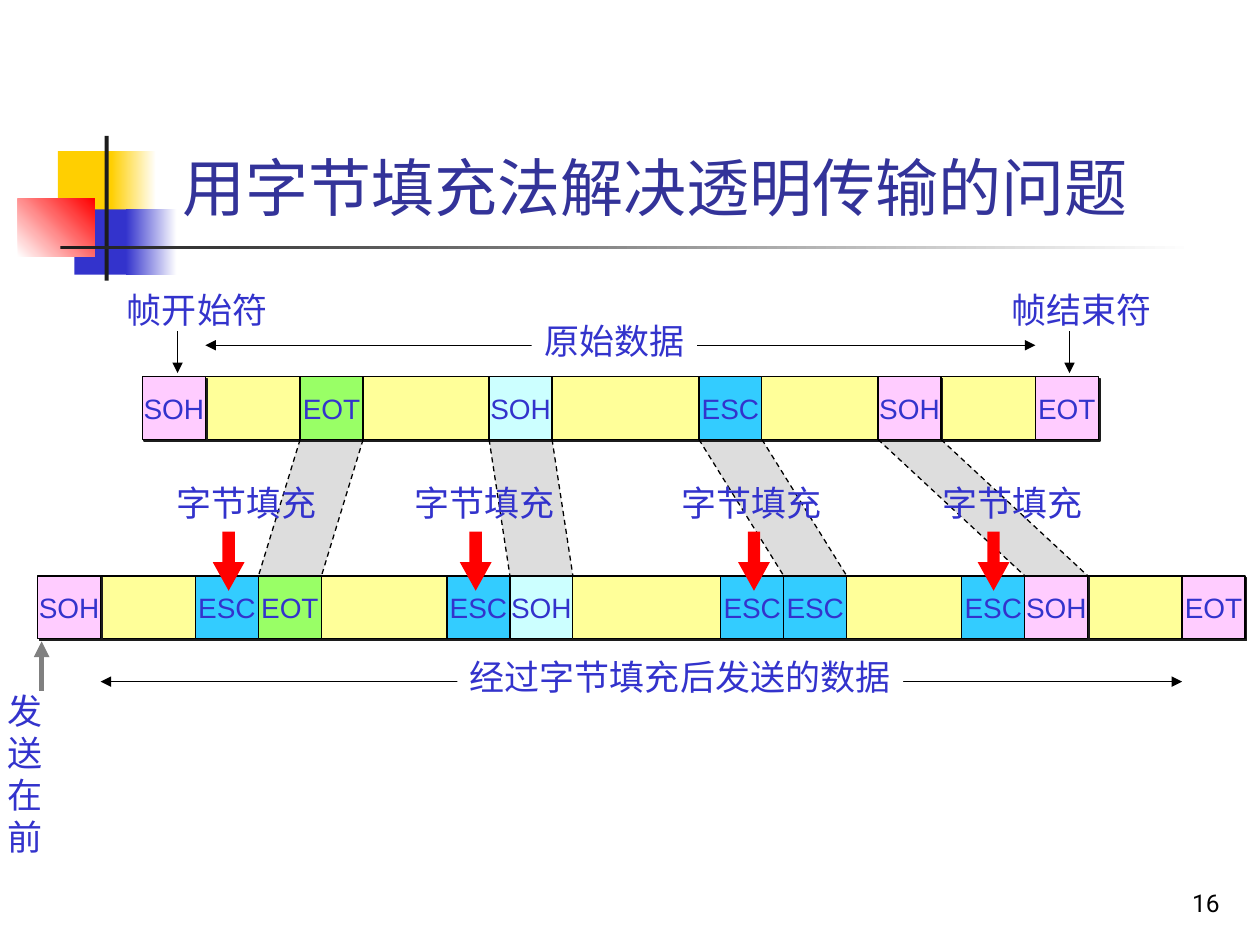
from dataclasses import dataclass

from lxml.etree import SubElement
from pptx import Presentation
from pptx.dml.color import RGBColor
from pptx.enum.dml import MSO_LINE
from pptx.enum.shapes import MSO_CONNECTOR, MSO_SHAPE
from pptx.enum.text import MSO_ANCHOR, MSO_AUTO_SIZE, PP_ALIGN
from pptx.oxml.ns import qn
from pptx.util import Cm, Pt


@dataclass(frozen=True)
class Theme:
    black: str = "000000"
    dark: str = "1C1C1C"
    grey: str = "808080"
    band: str = "DDDDDD"
    white: str = "FFFFFF"
    red: str = "FF0000"
    gold: str = "FFCF01"
    blue: str = "3333CC"
    title: str = "333399"
    data: str = "FFFF99"
    pink: str = "FFCCFF"
    green: str = "99FF66"
    aqua: str = "CCFFFF"
    sky: str = "33CCFF"
    font: str = "Arial"
    number_font: str = "Roboto"
    title_size: int = 36
    label_size: int = 20
    cell_size: int = 16
    number_size: int = 14


T = Theme()
CELL = 1.27
TOP_Y, SENT_Y = 7.59, 11.61
LABEL_W, LABEL_H = 3.33, 1.12

prs = Presentation()
prs.slide_width, prs.slide_height = Cm(25.4), Cm(19.05)
s = prs.slides.add_slide(prs.slide_layouts[6])


def add_box(x, y, w, h, fill, outline=False, shadow=False, kind=MSO_SHAPE.RECTANGLE):
    """Add a preset shape; a pair of colours as fill makes a gradient."""
    sp = s.shapes.add_shape(kind, Cm(x), Cm(y), Cm(w), Cm(h))
    sp.shadow.inherit = False
    if isinstance(fill, tuple):
        sp.fill.gradient()
        sp.fill.gradient_angle = 0
        for stop, colour in zip(sp.fill.gradient_stops, fill):
            stop.color.rgb = RGBColor.from_string(colour)
    else:
        sp.fill.solid()
        sp.fill.fore_color.rgb = RGBColor.from_string(fill)
    if outline:
        sp.line.color.rgb = RGBColor.from_string(T.black)
        sp.line.width = Pt(0.75)
    else:
        sp.line.fill.background()
    if shadow:
        effects = sp._element.spPr.find(qn("a:effectLst"))
        shade = SubElement(effects, qn("a:outerShdw"), dist=str(Pt(1.4)), dir="2700000",
                           algn="ctr", rotWithShape="0")
        SubElement(shade, qn("a:srgbClr"), val=T.dark)
    return sp


def write(sp, lines, size, align=PP_ALIGN.LEFT, anchor=MSO_ANCHOR.TOP,
          colour=T.blue, font=T.font, wrap=False, grow=False):
    tf = sp.text_frame
    tf.word_wrap = wrap
    tf.vertical_anchor = anchor
    tf.auto_size = MSO_AUTO_SIZE.SHAPE_TO_FIT_TEXT if grow else MSO_AUTO_SIZE.NONE
    for i, line in enumerate(lines):
        p = tf.add_paragraph() if i else tf.paragraphs[0]
        p.alignment = align
        r = p.add_run()
        r.text = line
        r.font.size = Pt(size)
        r.font.name = font
        r.font.color.rgb = RGBColor.from_string(colour)


# Title ornament
for x, y, w, h, fill in [
    (1.17, 3.05, 1.22, 1.32, T.gold),
    (2.24, 3.05, 0.91, 1.32, (T.gold, T.white)),
    (1.5, 4.22, 1.17, 1.32, T.blue),
    (2.54, 4.22, 1.02, 1.32, (T.blue, T.white)),
    (0.36, 4.01, 1.55, 1.17, (T.white, T.red)),
    (2.11, 2.74, 0.08, 2.92, T.dark),
    (1.22, 4.95, 22.86, 0.08, (T.dark, T.white)),
]:
    sp = add_box(x, y, w, h, fill)
    if fill == (T.white, T.red):
        sp.fill.gradient_angle = 45

# Title and slide number
sp = s.shapes.add_textbox(Cm(3.2), Cm(0.58), Cm(20.29), Cm(4.06))
write(sp, ["用字节填充法解决透明传输的问题 "], T.title_size, PP_ALIGN.CENTER,
      MSO_ANCHOR.BOTTOM, T.title, wrap=True)
sp = s.shapes.add_textbox(Cm(19.56), Cm(17.35), Cm(5.28), Cm(1.27))
write(sp, ["16"], T.number_size, PP_ALIGN.RIGHT, MSO_ANCHOR.BOTTOM, T.black,
      T.number_font, wrap=True)

# Escaped bytes: name, x in the original row, x in the sent row, fill, shadow, label x, arrow x
escaped = [
    ("EOT", 6.05, 5.21, T.green, False, 3.3, 4.29),
    ("SOH", 9.86, 10.28, T.aqua, False, 8.1, 9.27),
    ("ESC", 14.09, 15.8, T.sky, False, 13.49, 14.88),
    ("SOH", 17.7, 20.66, T.pink, True, 18.75, 19.71),
]
band_top = TOP_Y + CELL

# Grey bands between the rows
for _, x, sent_x, *_ in escaped:
    builder = s.shapes.build_freeform(Cm(x), Cm(band_top))
    builder.add_line_segments([(Cm(x + CELL), Cm(band_top)),
                               (Cm(sent_x + CELL), Cm(SENT_Y)),
                               (Cm(sent_x), Cm(SENT_Y))])
    sp = builder.convert_to_shape()
    sp.shadow.inherit = False
    sp.fill.solid()
    sp.fill.fore_color.rgb = RGBColor.from_string(T.band)
    sp.line.fill.background()

# Data fields, then the byte cells on top of them
cells = []
for start, width, y in [(2.87, 16.73, TOP_Y), (0.76, 21.8, SENT_Y)]:
    add_box(start + CELL, y, width, CELL, T.data, True, True)
    cells += [("SOH", start, y, T.pink, True),
              ("EOT", start + CELL + width, y, T.pink, True)]
for name, x, sent_x, fill, shadow, *_ in escaped:
    cells += [(name, x, TOP_Y, fill, shadow),
              ("ESC", sent_x - CELL, SENT_Y, T.sky, False),
              (name, sent_x, SENT_Y, fill, shadow)]
for name, x, y, fill, shadow in cells:
    sp = add_box(x, y, CELL, CELL, fill, True, shadow)
    write(sp, [name], T.cell_size, PP_ALIGN.CENTER, MSO_ANCHOR.MIDDLE)

# Lines: ends, colour, width, dashed, arrowheads
both, end = ("headEnd", "tailEnd"), ("tailEnd",)
lines = [
    (4.14, 6.96, 20.87, 6.96, T.black, 0.75, False, both),
    (2.03, 13.74, 23.83, 13.74, T.black, 0.75, False, both),
    (3.58, 6.68, 3.58, 7.52, T.black, 0.75, False, end),
    (21.56, 6.68, 21.56, 7.52, T.black, 0.75, False, end),
    (0.84, 13.92, 0.84, 12.93, T.grey, 3, False, end),
]
for _, x, sent_x, *_ in escaped:
    for side in (0, CELL):
        lines.append((x + side, band_top, sent_x + side, SENT_Y, T.black, 0.75, True, ()))
for x1, y1, x2, y2, colour, width, dashed, heads in lines:
    c = s.shapes.add_connector(MSO_CONNECTOR.STRAIGHT, Cm(x1), Cm(y1), Cm(x2), Cm(y2))
    c.line.color.rgb = RGBColor.from_string(colour)
    c.line.width = Pt(width)
    if dashed:
        c.line.dash_style = MSO_LINE.DASH
    for head in heads:
        SubElement(c.line._get_or_add_ln(), qn(f"a:{head}"), type="triangle")
    SubElement(c._element.spPr, qn("a:effectLst"))

# Labels; those over a line have a white ground
for text, x, y, w in [("原始数据", 10.72, 6.32, LABEL_W),
                      ("经过字节填充后发送的数据", 9.22, 13.08, 8.99)]:
    write(add_box(x, y, w, LABEL_H, T.white), [text], T.label_size, grow=True)
labels = [(["帧开始符"], 2.31, 5.69, LABEL_W, LABEL_H),
          (["帧结束符"], 20.14, 5.69, LABEL_W, LABEL_H),
          (["发送", "在前"], -0.1, 13.77, 1.9, 1.96)]
labels += [(["字节填充"], label_x, 9.58, LABEL_W, LABEL_H) for *_, label_x, _ in escaped]
for text, x, y, w, h in labels:
    sp = s.shapes.add_textbox(Cm(x), Cm(y), Cm(w), Cm(h))
    write(sp, text, T.label_size, grow=True)

# Red arrows at the stuffed bytes
for *_, arrow_x in escaped:
    sp = add_box(arrow_x, 10.72, 0.64, 1.19, T.red, kind=MSO_SHAPE.DOWN_ARROW)
    sp.adjustments[0], sp.adjustments[1] = 0.39, 0.9

prs.save("out.pptx")
